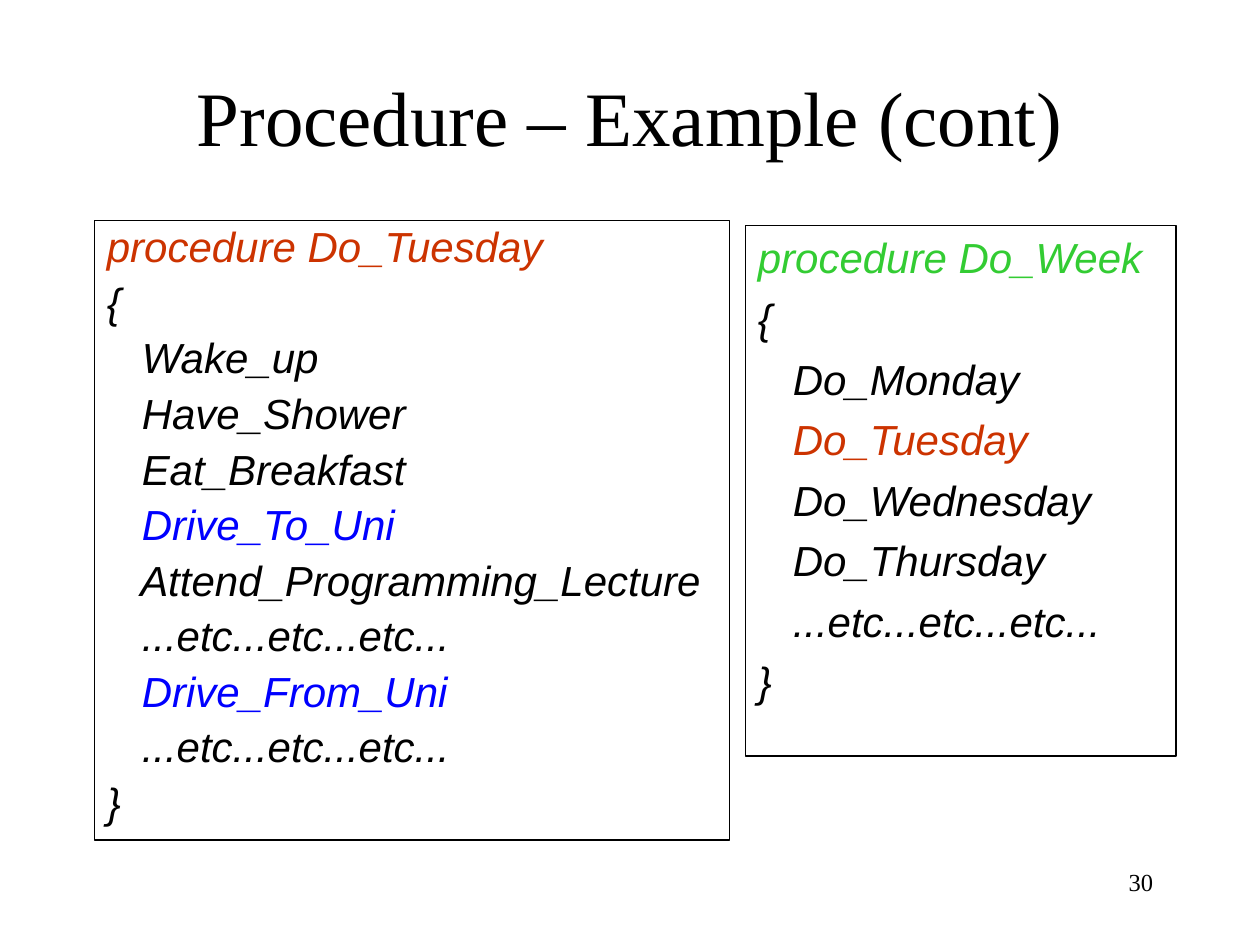
from pptx import Presentation
from pptx import util as u
from pptx.dml import color
from pptx.enum import shapes, text

CELL = u.Inches(1) / 12  # grid of 120 columns by 90 rows
BLACK, RED, GREEN, BLUE = "000000", "CC3300", "33CC33", "0000FF"

deck = Presentation()
deck.slide_width, deck.slide_height = int(120 * CELL), int(90 * CELL)
slide = deck.slides.add_slide(deck.slide_layouts[6])


def rgb(code):
    return color.RGBColor.from_string(code)


def grid(*cells):
    return [round(n * CELL) for n in cells]


# Title and page number
for words, place, size, align, anchor in [
    ("Procedure – Example (cont)", (9, 6, 102, 10), 44,
     text.PP_ALIGN.CENTER, text.MSO_ANCHOR.MIDDLE),
    ("30", (86, 82, 25, 6), 14, text.PP_ALIGN.RIGHT, text.MSO_ANCHOR.TOP),
]:
    frame = slide.shapes.add_textbox(*grid(*place)).text_frame
    frame.word_wrap = True
    frame.vertical_anchor = anchor
    line = frame.paragraphs[0]
    line.text, line.alignment = words, align
    line.font.name, line.font.size = "Times New Roman", u.Pt(size)
    line.font.color.rgb = rgb(BLACK)

# Procedures: place, line spacing, colours of highlighted lines, code
procedures = [
    ((9, 21, 60.5, 59), 0.9, {0: RED, 5: BLUE, 8: BLUE}, """\
procedure Do_Tuesday
{
   Wake_up
   Have_Shower
   Eat_Breakfast
   Drive_To_Uni
   Attend_Programming_Lecture
   ...etc...etc...etc...
   Drive_From_Uni
   ...etc...etc...etc...
}"""),
    ((71, 21.5, 41, 50.5), 1.0, {0: GREEN, 3: RED}, """\
procedure Do_Week
{
   Do_Monday
   Do_Tuesday
   Do_Wednesday
   Do_Thursday
   ...etc...etc...etc...
}"""),
]
for place, spacing, highlights, code in procedures:
    box = slide.shapes.add_shape(shapes.MSO_SHAPE.RECTANGLE, *grid(*place))
    box.shadow.inherit = False
    box.fill.background()
    box.line.color.rgb = rgb(BLACK)
    box.line.width = u.Pt(0.75)
    frame = box.text_frame
    frame.word_wrap = True
    frame.vertical_anchor = text.MSO_ANCHOR.TOP
    frame.text = code
    for row, line in enumerate(frame.paragraphs):
        line.alignment = text.PP_ALIGN.LEFT
        line.line_spacing = spacing
        line.space_before = u.Pt(5.8 if row else 0)
        line.font.name, line.font.size = "Arial", u.Pt(24)
        line.font.italic = True
        line.font.color.rgb = rgb(highlights.get(row, BLACK))

deck.save("out.pptx")
